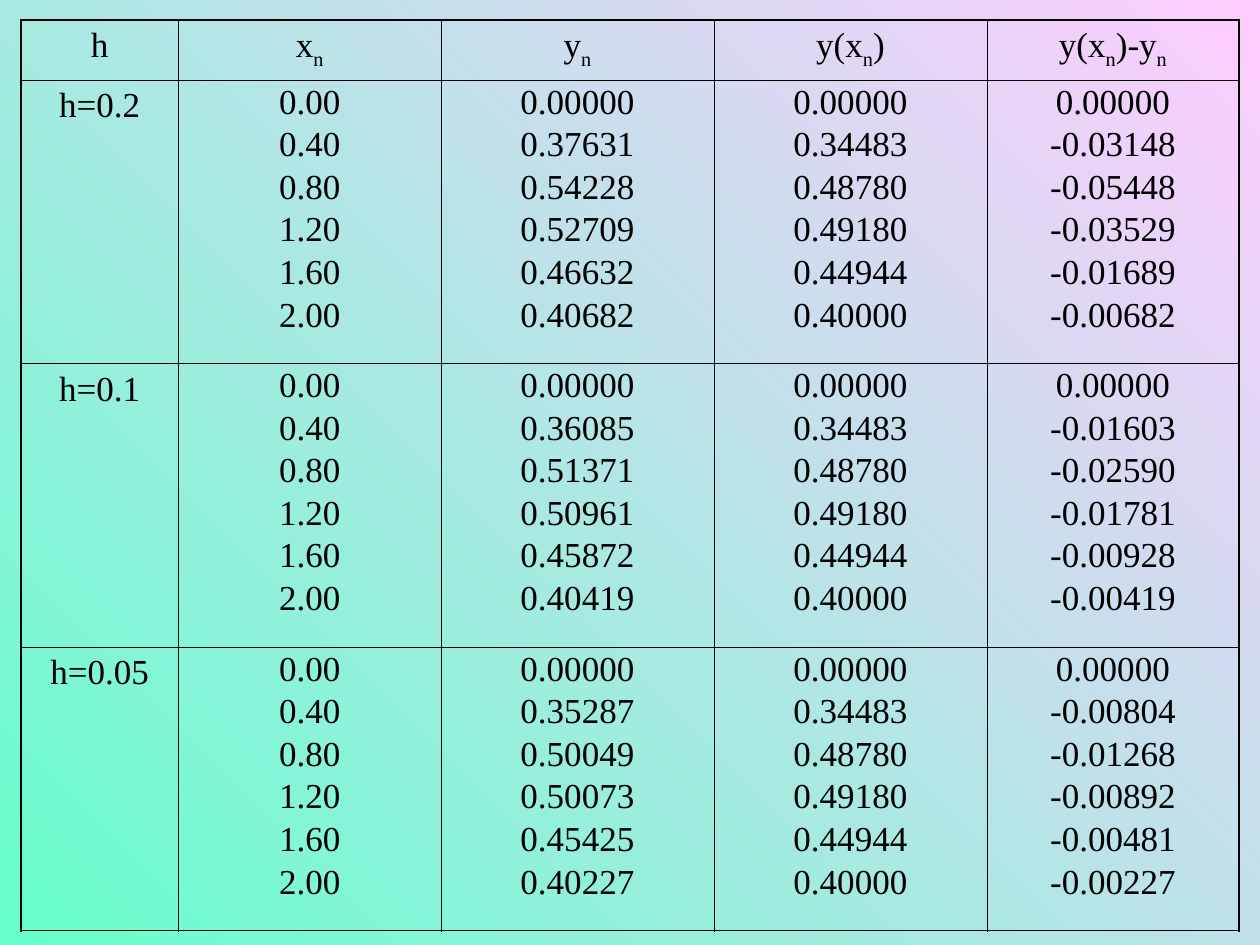
from dataclasses import dataclass

import pptx
import pptx.dml.color
import pptx.enum.text
import pptx.oxml
import pptx.oxml.ns
import pptx.util
from pptx.util import Pt

COLORS = {"ink": "000000", "mint": "66FFCC", "pink": "FFCCFF"}
FONT, SIZE = "Times New Roman", 20
LEFT, TOP = 12, 11.5
COL_WIDTHS = [90, 150, 156, 156, 144]
HEADER_HEIGHT, GROUP_HEIGHT = 34.3, 162
OUTER, INNER = 1.08, 0.45


@dataclass
class StepGroup:
    label: str
    approx: list[str]
    error: list[str]


# Header text; "_" marks the next letter as a subscript
HEADERS = ["h", "x_n", "y_n", "y(x_n)", "y(x_n)-y_n"]
X = ["0.00", "0.40", "0.80", "1.20", "1.60", "2.00"]
EXACT = ["0.00000", "0.34483", "0.48780", "0.49180", "0.44944", "0.40000"]
GROUPS = [
    StepGroup("h=0.2",
              ["0.00000", "0.37631", "0.54228", "0.52709", "0.46632", "0.40682"],
              ["0.00000", "-0.03148", "-0.05448", "-0.03529", "-0.01689", "-0.00682"]),
    StepGroup("h=0.1",
              ["0.00000", "0.36085", "0.51371", "0.50961", "0.45872", "0.40419"],
              ["0.00000", "-0.01603", "-0.02590", "-0.01781", "-0.00928", "-0.00419"]),
    StepGroup("h=0.05",
              ["0.00000", "0.35287", "0.50049", "0.50073", "0.45425", "0.40227"],
              ["0.00000", "-0.00804", "-0.01268", "-0.00892", "-0.00481", "-0.00227"]),
]


def rgb(name: str) -> pptx.dml.color.RGBColor:
    return pptx.dml.color.RGBColor.from_string(COLORS[name])


def add_run(p, text: str, subscript: bool = False) -> None:
    r = p.add_run()
    r.text = text
    r.font.name, r.font.size = FONT, Pt(SIZE)
    r.font.color.rgb = rgb("ink")
    if subscript:
        r.font._element.set("baseline", "-25000")


def write_lines(cell, lines: list[str], spacing: float | None = None) -> None:
    tf = cell.text_frame
    for i, line in enumerate(lines):
        p = tf.paragraphs[0] if i == 0 else tf.add_paragraph()
        p.alignment = pptx.enum.text.PP_ALIGN.CENTER
        if spacing:
            p.line_spacing = spacing
        if i:
            p.space_before = Pt(4.3)
        first, *rest = line.split("_")
        add_run(p, first)
        for part in rest:
            add_run(p, part[0], subscript=True)
            if part[1:]:
                add_run(p, part[1:])


def set_borders(cell, widths: dict[str, float]) -> None:
    tc_pr = cell._tc.get_or_add_tcPr()
    for side, width in widths.items():
        tc_pr.append(pptx.oxml.parse_xml(
            f'<a:ln{side} {pptx.oxml.ns.nsdecls("a")} w="{Pt(width)}">'
            f'<a:solidFill><a:srgbClr val="{COLORS["ink"]}"/></a:solidFill>'
            f'</a:ln{side}>'))


def add_results_table(s) -> None:
    n_rows, n_cols = len(GROUPS) + 1, len(COL_WIDTHS)
    heights = [HEADER_HEIGHT] + [GROUP_HEIGHT] * len(GROUPS)
    table = s.shapes.add_table(n_rows, n_cols, Pt(LEFT), Pt(TOP),
                               Pt(sum(COL_WIDTHS)), Pt(sum(heights))).table
    table.first_row = table.horz_banding = False
    for column, width in zip(table.columns, COL_WIDTHS):
        column.width = Pt(width)
    for row, height in zip(table.rows, heights):
        row.height = Pt(height)

    # Text: header row, then one row per step size
    for col, header in enumerate(HEADERS):
        write_lines(table.cell(0, col), [header])
    for row, group in enumerate(GROUPS, start=1):
        write_lines(table.cell(row, 0), [group.label])
        for col, values in enumerate([X, group.approx, EXACT, group.error], start=1):
            write_lines(table.cell(row, col), values, spacing=0.9)

    # Thin inner rules, heavier outer frame, no fill
    for row in range(n_rows):
        for col in range(n_cols):
            cell = table.cell(row, col)
            set_borders(cell, {
                "L": OUTER if col == 0 else INNER,
                "R": OUTER if col == n_cols - 1 else INNER,
                "T": OUTER if row == 0 else INNER,
                "B": OUTER if row == n_rows - 1 else INNER,
            })
            cell.fill.background()


def main() -> None:
    prs = pptx.Presentation()
    prs.slide_width, prs.slide_height = Pt(720), Pt(540)
    s = prs.slides.add_slide(prs.slide_layouts[6])

    # Background gradient, bottom left to top right
    fill = s.background.fill
    fill.gradient()
    fill.gradient_angle = 45
    for stop, name, position in zip(fill.gradient_stops, ["mint", "pink"], [0, 1]):
        stop.color.rgb = rgb(name)
        stop.position = position

    add_results_table(s)
    prs.save("out.pptx")


if __name__ == "__main__":
    main()
